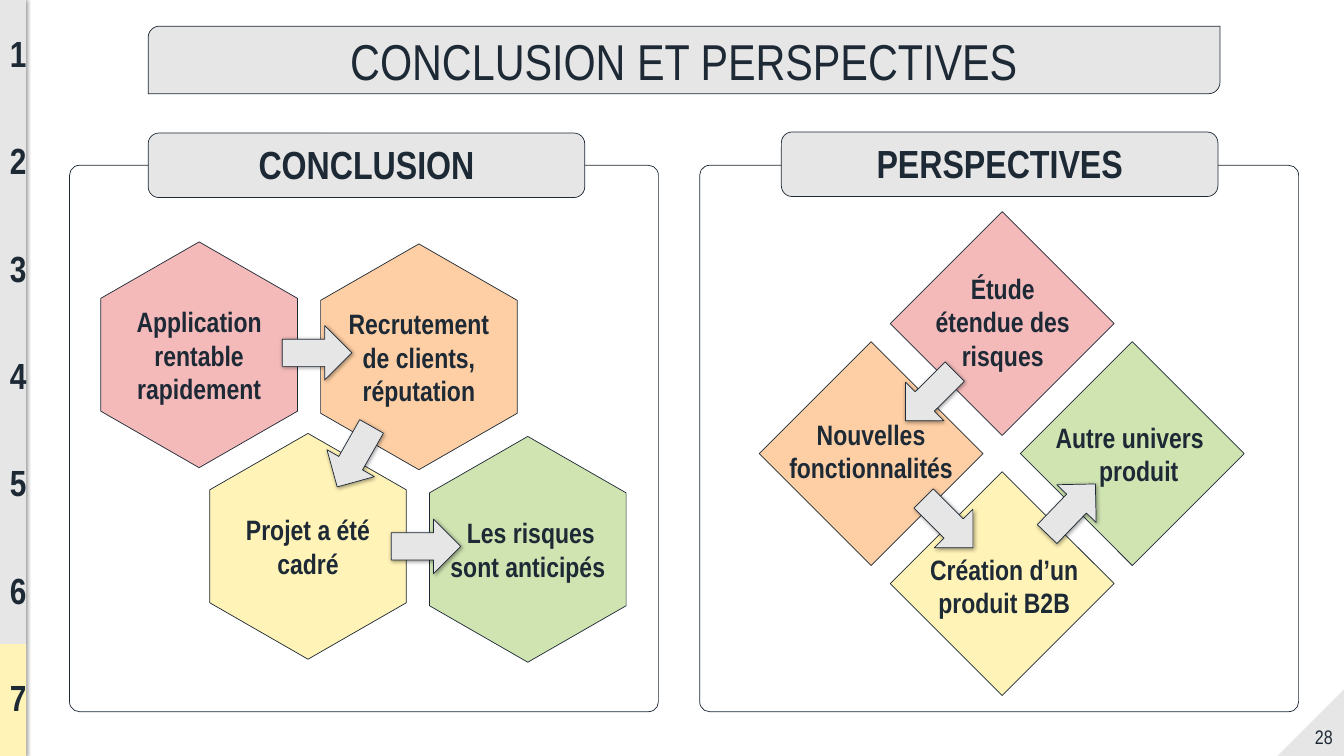
"""Build the conclusion and perspectives slide."""
from dataclasses import dataclass

from lxml.etree import SubElement
from pptx import Presentation
from pptx.dml.color import RGBColor
from pptx.enum.shapes import MSO_SHAPE as Preset
from pptx.enum.text import MSO_ANCHOR as Anchor, PP_ALIGN as Align
from pptx.oxml.ns import qn
from pptx.util import Inches, Pt


@dataclass(frozen=True)
class Theme:
    """Colours, font and type sizes of the slide."""
    ink: str = "1D2935"
    grey: str = "E6E6E6"
    white: str = "FFFFFF"
    pink: str = "F4BABA"
    orange: str = "FECFA4"
    yellow: str = "FFF3B7"
    green: str = "D0E4B2"
    font: str = "Arial Narrow"
    title: int = 36
    heading: int = 28
    chapter: int = 26
    body: int = 20
    number: int = 14
    outline: float = 0.5


THEME = Theme()
HEXAGON = [(0.5, 0), (0, 0.25), (0, 0.75), (0.5, 1), (1, 0.75), (1, 0.25)]
HEXAGON_SIZE = (1.95, 2.24)
DIAMOND_SIZE = (2.22, 2.22)
ARROW_SIZE = (0.69, 0.54)


def apply(target, values):
    """Set each named attribute on the target."""
    for name, value in values.items():
        setattr(target, name, value)


def paint(shape, fill, outlined=True):
    """Give a shape its fill and outline, without a shadow."""
    shape.shadow.inherit = False
    shape.fill.solid()
    shape.fill.fore_color.rgb = RGBColor.from_string(fill)
    if outlined:
        shape.line.color.rgb = RGBColor.from_string(THEME.ink)
        shape.line.width = Pt(THEME.outline)
    else:
        shape.line.fill.background()


def cast_shadow(shape, opacity, distance=0, angle=0):
    """Add a soft black outer shadow."""
    effects = shape._element.spPr.find(qn("a:effectLst"))
    shadow = SubElement(effects, qn("a:outerShdw"), blurRad=str(Pt(3)),
                        dist=str(Pt(distance)), dir=str(angle * 60000),
                        algn="ctr", rotWithShape="0")
    colour = SubElement(shadow, qn("a:srgbClr"), val="000000")
    SubElement(colour, qn("a:alpha"), val=str(opacity * 1000))


def write(shape, lines, size, bold=True, anchor=Anchor.MIDDLE, inset=0.05, indents=()):
    """Fill a shape with centred lines of text."""
    frame = shape.text_frame
    apply(frame, {
        "word_wrap": True, "vertical_anchor": anchor,
        "margin_left": Inches(0.1), "margin_right": Inches(0.1),
        "margin_top": Inches(inset), "margin_bottom": Inches(inset),
    })
    for index, line in enumerate(lines):
        para = frame.add_paragraph() if index else frame.paragraphs[0]
        para.alignment = Align.CENTER
        if index < len(indents) and indents[index]:
            para._p.get_or_add_pPr().set("indent", str(Inches(indents[index])))
        span = para.add_run()
        span.text = line
        apply(span.font, {"name": THEME.font, "size": Pt(size), "bold": bold})
        span.font.color.rgb = RGBColor.from_string(THEME.ink)


def add_preset(page, preset, box, fill, outlined=True):
    """Add a painted preset shape."""
    shape = page.shapes.add_shape(preset, *map(Inches, box))
    paint(shape, fill, outlined)
    return shape


def add_rounded(page, box, fill, radius):
    """Add a rounded rectangle."""
    add_preset(page, Preset.ROUNDED_RECTANGLE, box, fill).adjustments[0] = radius


def add_label(page, box, lines, size, **options):
    """Add a text box, anchored at the top unless told otherwise."""
    label = page.shapes.add_textbox(*map(Inches, box))
    write(label, lines, size, **{"anchor": Anchor.TOP, **options})


def add_hexagon(page, left, top, fill, lines, indents=()):
    """Add an upright hexagon with its text."""
    width, height = HEXAGON_SIZE
    corners = [(Inches(left + x * width), Inches(top + y * height)) for x, y in HEXAGON]
    builder = page.shapes.build_freeform(*corners[0])
    builder.add_line_segments(corners[1:], close=True)
    hexagon = builder.convert_to_shape()
    paint(hexagon, fill)
    write(hexagon, lines, THEME.body, inset=0.1, indents=indents)


def add_arrow(page, left, top, rotation=0):
    """Add a block arrow with a shadow."""
    arrow = add_preset(page, Preset.RIGHT_ARROW, (left, top, *ARROW_SIZE), THEME.grey)
    arrow.rotation = rotation
    cast_shadow(arrow, 40, 1, 45)


def add_chapters(page):
    """Add the chapter strip with the current chapter highlighted."""
    strip = add_preset(page, Preset.RECTANGLE, (0, 0, 0.26, 7.5), THEME.grey, False)
    cast_shadow(strip, 50)
    add_preset(page, Preset.RECTANGLE, (0, 6.39, 0.26, 1.11), THEME.yellow, False)
    for index in range(7):
        box = (0, 0.26 + 1.065 * index, 0.25, 0.54)
        add_label(page, box, [str(index + 1)], THEME.chapter)


def add_panels(page):
    """Add the two framed panels and their headings."""
    panels = [
        ("CONCLUSION", (0.69, 1.64, 5.84, 5.42), 1.47, 1.32),
        ("PERSPECTIVES", (6.94, 1.64, 5.94, 5.42), 7.75, 1.31),
    ]
    for heading, frame, left, top in panels:
        add_rounded(page, frame, THEME.white, 0.018)
        add_rounded(page, (left, top, 4.33, 0.64), THEME.grey, 0.167)
        add_label(page, (left, top + 0.02, 4.33, 0.57), [heading], THEME.heading)


def add_conclusion(page):
    """Add the chain of hexagons."""
    add_hexagon(page, 1, 2.4, THEME.pink, ["Application rentable rapidement"])
    add_hexagon(page, 2.08, 4.3, THEME.yellow, ["Projet a été cadré"])
    add_hexagon(page, 3.18, 2.42, THEME.orange, ["Recrutement", "de clients, réputation"])
    add_hexagon(page, 4.26, 4.33, THEME.green, ["Les risques sont anticipés"], (0.06,))
    for arrow in [(2.8, 3.23), (3.17, 4.26, 119.6), (3.88, 5.15)]:
        add_arrow(page, *arrow)


def add_perspectives(page):
    """Add the ring of diamonds."""
    diamonds = [
        (8.83, 2.1, THEME.pink, (8.99, 2.64, 1.91, 1.11), ["Étude", "étendue des risques"], ()),
        (7.53, 3.39, THEME.orange, (7.71, 4.09, 1.86, 0.77), ["Nouvelles fonctionnalités"], ()),
        (8.83, 4.68, THEME.yellow, (9.12, 5.43, 1.68, 0.77), ["Création d’un produit B2B"], ()),
        (10.12, 3.39, THEME.green, (10.24, 4.12, 1.93, 0.77),
         ["Autre univers", "produit"], (0, 0.18)),
    ]
    for left, top, fill, box, lines, indents in diamonds:
        add_preset(page, Preset.DIAMOND, (left, top, *DIAMOND_SIZE), fill)
        add_label(page, box, lines, THEME.body, indents=indents)
    for arrow in [(8.88, 3.66, 135.2), (9.06, 4.92, 45), (10.28, 4.78, 313.9)]:
        add_arrow(page, *arrow)


def add_page_number(page):
    """Add the corner triangle and the page number."""
    corner = add_preset(page, Preset.RIGHT_TRIANGLE, (12.67, 6.84, 0.66, 0.66), THEME.grey, False)
    corner._element.spPr.find(qn("a:xfrm")).set("flipH", "1")
    add_label(page, (12.93, 7.11, 0.4, 0.4), ["28"], THEME.number,
              bold=False, anchor=Anchor.MIDDLE)


def main():
    """Assemble and save the slide."""
    deck = Presentation()
    apply(deck, {"slide_width": Inches(13.33), "slide_height": Inches(7.5)})
    page = deck.slides.add_slide(deck.slide_layouts[6])
    add_chapters(page)
    title = add_preset(page, Preset.ROUND_2_DIAG_RECTANGLE, (1.47, 0.26, 10.63, 0.67), THEME.grey)
    write(title, ["CONCLUSION ET PERSPECTIVES"], THEME.title, bold=False)
    add_panels(page)
    add_conclusion(page)
    add_perspectives(page)
    add_page_number(page)
    deck.save("out.pptx")


if __name__ == "__main__":
    main()
